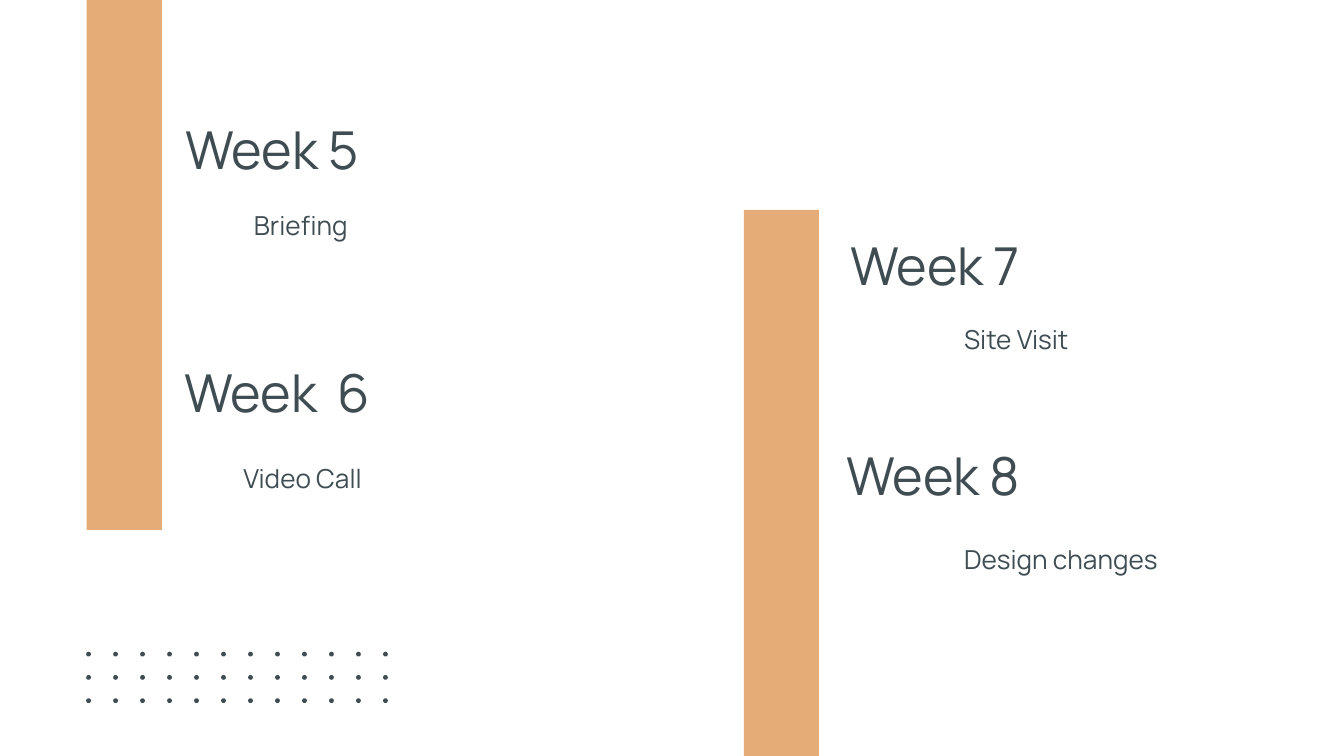
from dataclasses import dataclass
from itertools import product

from pptx import Presentation
from pptx.dml.color import RGBColor
from pptx.enum.shapes import MSO_SHAPE
from pptx.enum.text import MSO_ANCHOR, PP_ALIGN
from pptx.util import Cm, Pt

# All lengths are in centimetres.
BARS = [(1.64, 0, 1.42, 10.02), (14.06, 3.97, 1.42, 10.32)]

# week, left, top, width, activity, left, top
WEEKS = [
    ("Week 5", 1.8, 2.06, 5.23, "Briefing", 4.17, 3.51),
    ("Week  6", 1.59, 6.65, 5.66, "Video Call", 3.97, 8.28),
    ("Week 7", 14.37, 4.26, 5.16, "Site Visit", 17.59, 5.65),
    ("Week 8", 14.6, 8.22, 4.93, "Design changes", 17.59, 9.82),
]
TEXT_HEIGHT = 1.5
ACTIVITY_WIDTH = 6.86

DOTS = {"columns": 12, "rows": 3, "left": 1.63, "top": 12.32,
        "column_step": 0.51, "row_step": 0.44, "size": 0.09}


@dataclass(frozen=True)
class Theme:
    font: str = "Manrope"
    ink: RGBColor = RGBColor(0x3F, 0x4D, 0x53)
    accent: RGBColor = RGBColor(0xE5, 0xAC, 0x77)
    week_size: int = 28
    activity_size: int = 14


THEME = Theme()


def add_filled(shapes, kind, left, top, width, height, color):
    shape = shapes.add_shape(kind, Cm(left), Cm(top), Cm(width), Cm(height))
    shape.shadow.inherit = False
    shape.fill.solid()
    shape.fill.fore_color.rgb = color
    shape.line.fill.background()


def add_text(page, text, left, top, width, *, size, align=PP_ALIGN.LEFT,
             margin=0, indent=0):
    """Add one line of text; margin and indent shape its paragraph."""
    box = page.shapes.add_textbox(Cm(left), Cm(top), Cm(width), Cm(TEXT_HEIGHT))
    frame = box.text_frame
    frame.word_wrap = True
    frame.vertical_anchor = MSO_ANCHOR.MIDDLE
    frame.margin_left = frame.margin_right = Cm(0.25)
    frame.margin_top = frame.margin_bottom = Cm(0.25)
    paragraph = frame.paragraphs[0]
    paragraph.alignment = align
    properties = paragraph._p.get_or_add_pPr()
    properties.set("marL", str(Cm(margin)))
    properties.set("indent", str(Cm(indent)))
    span = paragraph.add_run()
    span.text = text
    span.font.name = THEME.font
    span.font.size = Pt(size)
    span.font.color.rgb = THEME.ink


def add_dots(page):
    group = page.shapes.add_group_shape()
    for row, column in product(range(DOTS["rows"]), range(DOTS["columns"])):
        add_filled(group.shapes, MSO_SHAPE.OVAL,
                   DOTS["left"] + column * DOTS["column_step"],
                   DOTS["top"] + row * DOTS["row_step"],
                   DOTS["size"], DOTS["size"], THEME.ink)


def main():
    deck = Presentation()
    deck.slide_width, deck.slide_height = Cm(25.4), Cm(14.29)
    page = deck.slides.add_slide(deck.slide_layouts[6])
    for bar in BARS:
        add_filled(page.shapes, MSO_SHAPE.RECTANGLE, *bar, THEME.accent)
    add_dots(page)
    for week, left, top, width, activity, activity_left, activity_top in WEEKS:
        add_text(page, week, left, top, width,
                 size=THEME.week_size, align=PP_ALIGN.RIGHT)
        add_text(page, activity, activity_left, activity_top, ACTIVITY_WIDTH,
                 size=THEME.activity_size, margin=1.27, indent=-0.89)
    deck.save("out.pptx")


if __name__ == "__main__":
    main()
